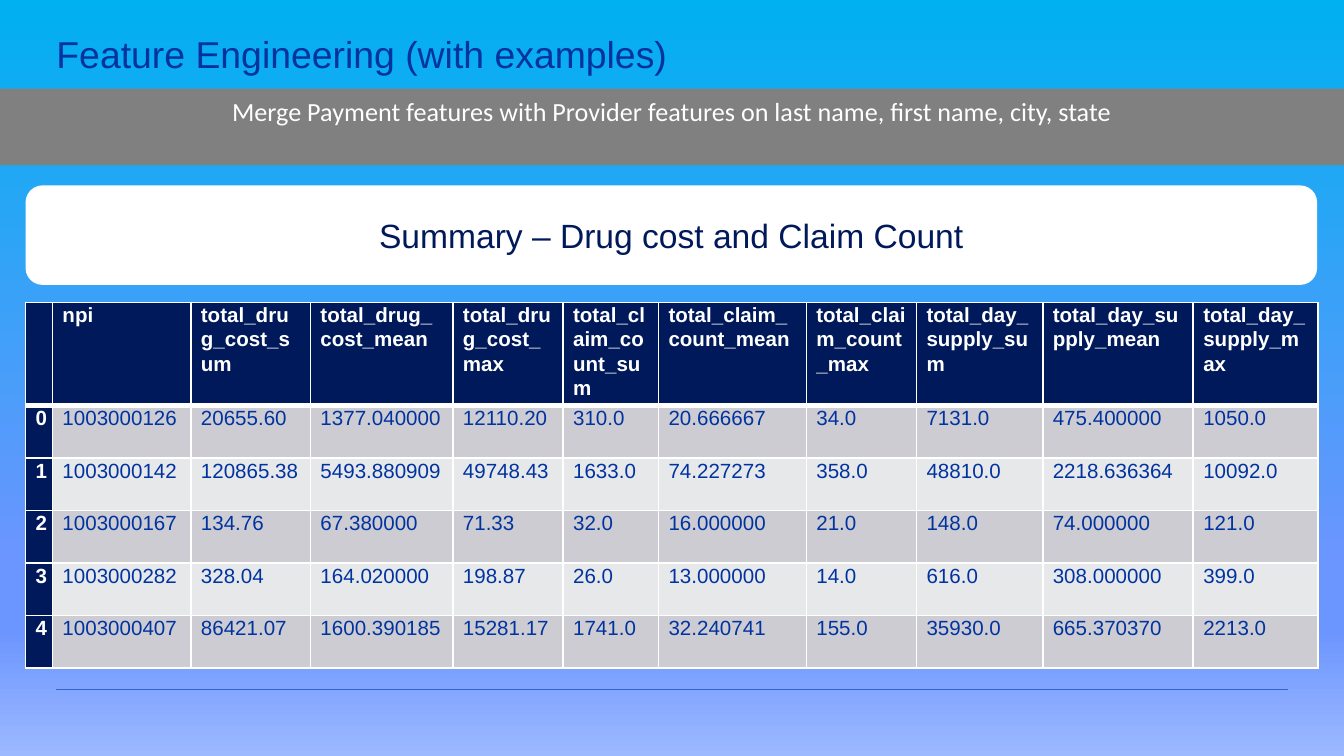
from lxml.etree import SubElement
from pptx import Presentation
from pptx.dml.color import RGBColor
from pptx.enum.shapes import MSO_CONNECTOR as Connector, MSO_SHAPE as Shape
from pptx.enum.text import MSO_ANCHOR as Anchor, PP_ALIGN as Align
from pptx.oxml import parse_xml
from pptx.oxml.ns import nsdecls, qn
from pptx.util import Inches, Pt

NAVY, BLUE, WHITE, GRAY, RULE = "00195A", "0033A0", "FFFFFF", "808080", "3366CC"
BANDS = ("CCCCD2", "E7E8EA")
BACKGROUND_STOPS = ((0, "00B0F0"), (74, "6B95FF"), (83, "6B95FF"), (100, "9CB8FF"))
COLUMN_WIDTHS = (0.2, 1.03, 0.89, 1.06, 0.82, 0.71, 1.1, 0.82, 0.94, 1.12, 0.93)
HEADER_HEIGHT, ROW_HEIGHT = 0.77, 0.39
HEADERS = ["", "npi"] + [
    f"total_{measure}_{statistic}"
    for measure in ("drug_cost", "claim_count", "day_supply")
    for statistic in ("sum", "mean", "max")
]
PROVIDERS = (
    "0 1003000126 20655.60 1377.040000 12110.20 310.0 20.666667 34.0 7131.0 475.400000 1050.0",
    "1 1003000142 120865.38 5493.880909 49748.43 1633.0 74.227273 358.0 48810.0 2218.636364 10092.0",
    "2 1003000167 134.76 67.380000 71.33 32.0 16.000000 21.0 148.0 74.000000 121.0",
    "3 1003000282 328.04 164.020000 198.87 26.0 13.000000 14.0 616.0 308.000000 399.0",
    "4 1003000407 86421.07 1600.390185 15281.17 1741.0 32.240741 155.0 35930.0 665.370370 2213.0",
)


def color(value):
    """Return the colour for a hex string."""
    return RGBColor.from_string(value)


def write(frame, text, size, ink, font="Arial", bold=False, align=None, spacing=None):
    """Write one formatted paragraph into a text frame."""
    frame.word_wrap = True
    para = frame.paragraphs[0]
    para.text = text
    para.alignment = align
    para.line_spacing = spacing
    para.font.size = Pt(size)
    para.font.name = font
    para.font.bold = bold
    para.font.color.rgb = color(ink)


def paint_background(page):
    """Fill the page with a vertical gradient."""
    fill = page.background.fill
    fill.gradient()
    fill.gradient_angle = 270
    stops = page.element.find(".//" + qn("a:gsLst"))
    for stop in list(stops):
        stops.remove(stop)
    for position, value in BACKGROUND_STOPS:
        stop = SubElement(stops, qn("a:gs"), pos=str(position * 1000))
        SubElement(stop, qn("a:srgbClr"), val=value)


def add_title(page, left, top, width, height, text):
    """Place and format the title placeholder."""
    title = page.shapes.title
    title.left, title.top = Inches(left), Inches(top)
    title.width, title.height = Inches(width), Inches(height)
    frame = title.text_frame
    frame.margin_left = frame.margin_right = frame.margin_top = frame.margin_bottom = 0
    frame.vertical_anchor = Anchor.TOP
    write(frame, text, 20, BLUE, align=Align.LEFT, spacing=0.9)


def add_panel(page, left, top, width, height, fill, text, size, ink,
              rounding=0.17, font="Arial", anchor=Anchor.MIDDLE):
    """Add a filled panel with centred text."""
    panel = page.shapes.add_shape(
        Shape.ROUNDED_RECTANGLE, Inches(left), Inches(top), Inches(width), Inches(height))
    panel.adjustments[0] = rounding
    panel.shadow.inherit = False
    panel.fill.solid()
    panel.fill.fore_color.rgb = color(fill)
    panel.line.fill.background()
    panel.text_frame.vertical_anchor = anchor
    write(panel.text_frame, text, size, ink, font, align=Align.CENTER)


def add_footer_rule(page, left, top, width):
    """Draw the thin rule at the foot of the page."""
    rule = page.shapes.add_connector(
        Connector.STRAIGHT, Inches(left), Inches(top), Inches(left + width), Inches(top))
    rule.line.color.rgb = color(RULE)
    rule.line.width = Pt(0.5)
    SubElement(rule.element.spPr, qn("a:effectLst"))


def set_borders(cell, top, bottom):
    """Give a cell white borders, with its own top and bottom widths."""
    properties = cell._tc.get_or_add_tcPr()
    for index, (side, points) in enumerate(zip("LRTB", (1, 1, top, bottom))):
        properties.insert(index, parse_xml(
            f'<a:ln{side} {nsdecls("a")} w="{Pt(points)}"><a:solidFill>'
            f'<a:srgbClr val="{WHITE}"/></a:solidFill></a:ln{side}>'))


def add_summary_table(page, left, top):
    """Add the table of provider totals."""
    rows = [HEADERS] + [line.split() for line in PROVIDERS]
    heights = [HEADER_HEIGHT] + [ROW_HEIGHT] * len(PROVIDERS)
    table = page.shapes.add_table(
        len(rows), len(HEADERS), Inches(left), Inches(top),
        Inches(sum(COLUMN_WIDTHS)), Inches(sum(heights))).table
    for column, width in zip(table.columns, COLUMN_WIDTHS):
        column.width = Inches(width)
    for row_index, (values, height) in enumerate(zip(rows, heights)):
        table.rows[row_index].height = Inches(height)
        for column_index, value in enumerate(values):
            cell = table.cell(row_index, column_index)
            heading = row_index == 0 or column_index == 0
            cell.margin_left = cell.margin_right = Pt(5.4)
            cell.margin_top = cell.margin_bottom = 0
            cell.fill.solid()
            cell.fill.fore_color.rgb = color(NAVY if heading else BANDS[(row_index - 1) % 2])
            set_borders(cell, 3 if row_index == 1 else 1, 3 if row_index == 0 else 1)
            write(cell.text_frame, value, 11, WHITE if heading else BLUE,
                  bold=heading, spacing=1.07)


def main():
    """Build and save the deck."""
    deck = Presentation()
    deck.slide_width, deck.slide_height = Inches(10), Inches(10 * 9 / 16)
    page = deck.slides.add_slide(deck.slide_layouts[5])
    paint_background(page)
    add_footer_rule(page, 0.42, 5.13, 9.16)
    add_panel(page, 0, 0.66, 10, 0.57, GRAY,
              "Merge Payment features with Provider features on last name, first name, city, state",
              14, WHITE, 0, "Calibri", Anchor.TOP)
    add_title(page, 0.42, 0.27, 9.17, 0.3, "Feature Engineering (with examples)")
    add_summary_table(page, 0.19, 2.25)
    add_panel(page, 0.19, 1.38, 9.61, 0.74, WHITE,
              "Summary – Drug cost and Claim Count", 18, NAVY)
    deck.save("out.pptx")


if __name__ == "__main__":
    main()
